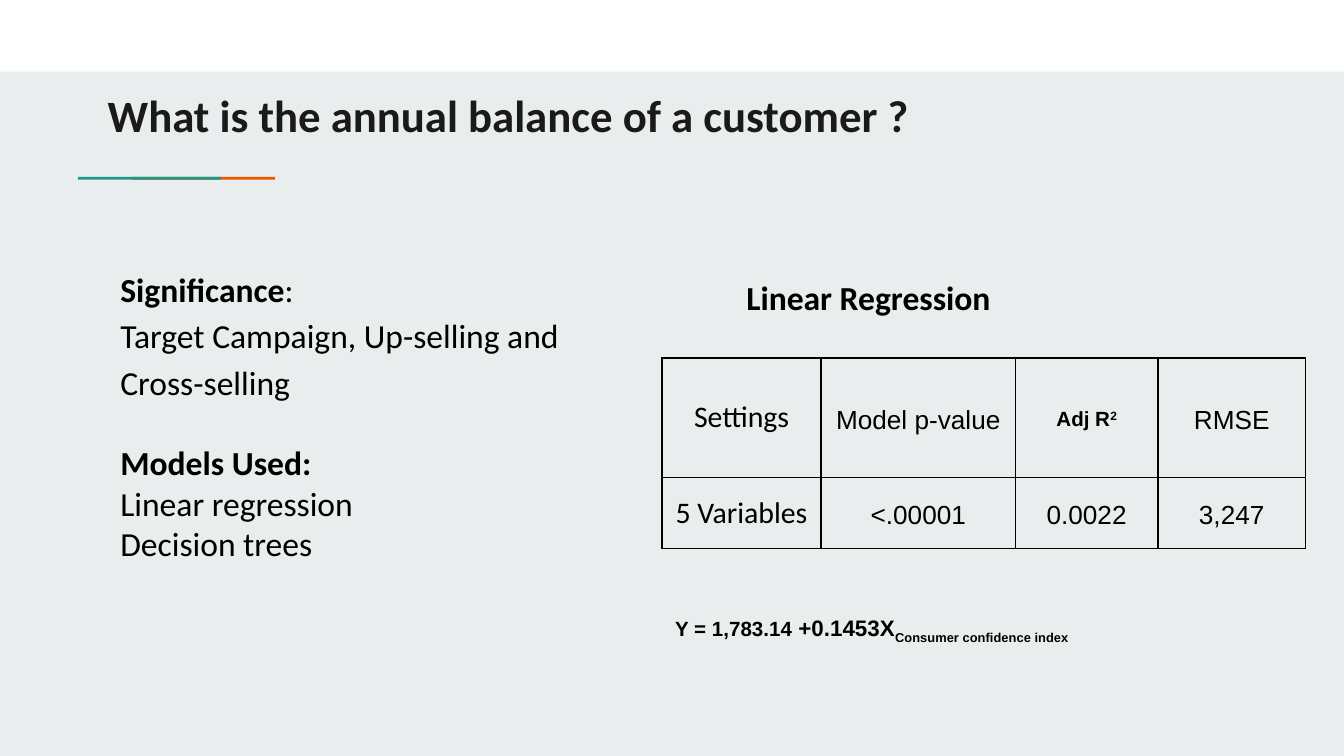
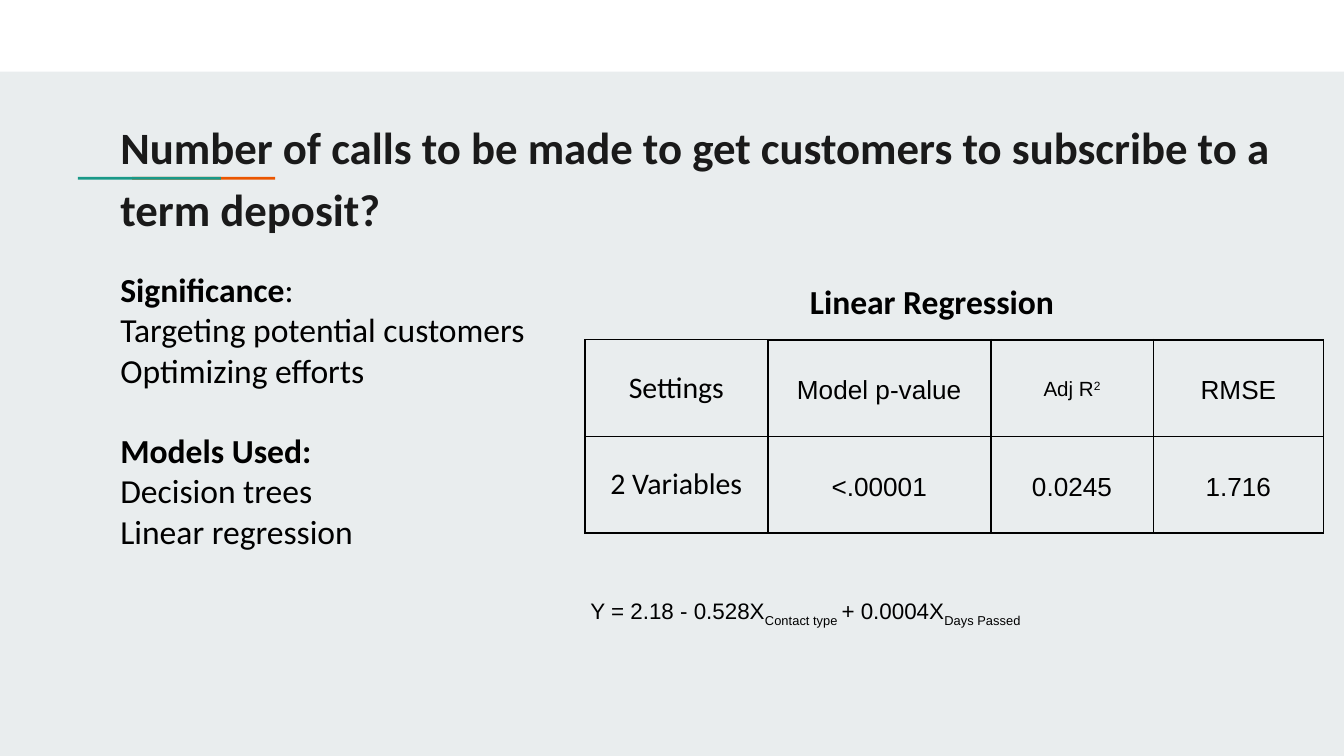
from lxml import etree
from pptx import Presentation
from pptx.dml.color import RGBColor
from pptx.enum import shapes, text
from pptx.oxml.ns import qn
from pptx.util import Pt

HUES = {
    "paper": "E9EDEE",
    "band": "FFFFFF",
    "teal": "1A9988",
    "orange": "EB5600",
    "title": "1A1A1A",
    "ink": "000000",
}
HEAD = "Calibri"
BODY = "Arial"
HEADS = ("Settings", "Model p-value", "Adj R", "RMSE")
LOOSE = {"lead": 1.15, "above": 12, "below": 12}
MID = text.PP_ALIGN.CENTER


def hue(name):
    return RGBColor.from_string(HUES[name])


def write(para, runs, size=18, font=HEAD, color="ink", bold=False,
          align=None, lead=1.0, above=0, below=0):
    para.alignment = align
    para.line_spacing = lead
    para.space_before = Pt(above)
    para.space_after = Pt(below)
    for part in [(runs, {})] if isinstance(runs, str) else runs:
        words, extra = part
        run = para.add_run()
        run.text = words
        run.font.size = Pt(extra.get("size", size))
        run.font.name = font
        run.font.bold = extra.get("bold", bold)
        run.font.color.rgb = hue(color)
        if "base" in extra:
            run._r.get_or_add_rPr().set("baseline", str(extra["base"] * 1000))


def add_text(slide, box, paras, **style):
    frame = slide.shapes.add_textbox(*map(Pt, box)).text_frame
    frame.word_wrap = True
    frame.margin_left = frame.margin_right = Pt(7.2)
    frame.margin_top = frame.margin_bottom = Pt(7.2)
    for i, (runs, extra) in enumerate(paras):
        para = frame.add_paragraph() if i else frame.paragraphs[0]
        write(para, runs, **{**style, **extra})


def add_bar(slide, box, color):
    bar = slide.shapes.add_shape(shapes.MSO_SHAPE.RECTANGLE, *map(Pt, box))
    bar.shadow.inherit = False
    bar.fill.solid()
    bar.fill.fore_color.rgb = hue(color)
    bar.line.fill.background()


def add_base(deck):
    slide = deck.slides.add_slide(deck.slide_layouts[6])
    slide.background.fill.solid()
    slide.background.fill.fore_color.rgb = hue("paper")
    add_bar(slide, (0, 0, 720, 38.4), "band")
    add_bar(slide, (70.8, 94.8, 76.6, 1.5), "orange")
    add_bar(slide, (41.8, 94.8, 76.6, 1.5), "teal")
    return slide


def add_title(slide, box, words, lead=1.0):
    add_text(slide, box, [(words, {"lead": lead})],
             size=24, color="title", bold=True)


def add_notes(slide, box, goals, models, lead=1.0):
    paras = [([("Significance", {"bold": True}), (":", {})], {})]
    paras += [(goal, {"lead": lead}) for goal in goals]
    paras += [("Models Used:", {"bold": True, "above": 21.6})]
    paras += [(model, {}) for model in models]
    add_text(slide, box, paras)


def add_edges(cell, widths):
    props = cell._tc.get_or_add_tcPr()
    for side, width in zip("LRTB", widths):
        line = etree.SubElement(props, qn(f"a:ln{side}"), w=str(Pt(width)))
        fill = etree.SubElement(line, qn("a:solidFill"))
        etree.SubElement(fill, qn("a:srgbClr"), val=HUES["ink"])


def add_grid(slide, left, top, cols, rows, data, bold=False):
    box = left, top, sum(cols), sum(rows)
    grid = slide.shapes.add_table(len(rows), len(cols), *map(Pt, box)).table
    grid.first_row = grid.horz_banding = False
    for col, width in zip(grid.columns, cols):
        col.width = Pt(width)
    for row, height in zip(grid.rows, rows):
        row.height = Pt(height)
    for r, line in enumerate(data):
        for c, words in enumerate(line):
            cell = grid.cell(r, c)
            cell.vertical_anchor = text.MSO_ANCHOR.MIDDLE
            cell.margin_left = cell.margin_right = Pt(5 if c else 7.2)
            cell.margin_top = cell.margin_bottom = Pt(7.2)
            add_edges(cell, (1, 1, 1, 1) if c else (0.75, 1, 0.75, 0.75))
            cell.fill.background()
            para = cell.text_frame.paragraphs[0]
            if c == 0:
                write(para, words, size=16, align=MID)
            elif words == "Adj R":
                write(para, [(words, {}), ("2", {"base": 30})], size=11,
                      font=BODY, bold=bold, align=MID, **LOOSE)
            else:
                write(para, words, size=14, font=BODY, align=MID, **LOOSE)


def add_model(slide, box, runs, bold=False):
    add_text(slide, box, [(runs, LOOSE)], size=12, font=BODY, bold=bold)


def build_balance(deck):
    slide = add_base(deck)
    add_title(slide, (50.6, 39.6, 605.5, 131),
              "What is the annual balance of a customer ?")
    add_notes(slide, (57.4, 136.8, 269.3, 200.9),
              ["Target Campaign, Up-selling and Cross-selling"],
              ["Linear regression", "Decision trees"], lead=1.15)
    add_grid(slide, 354.7, 191.8, (85.2, 104.2, 76.2, 79.2), (64, 38.2),
             [HEADS, ("5 Variables", "<.00001", "0.0022", "3,247")], bold=True)
    add_text(slide, (392.8, 141.1, 249.8, 33.8),
             [("Linear Regression", {})], bold=True)
    add_model(slide, (354.6, 319.4, 344.9, 62.6),
              [("Y = 1,783.14", {"size": 11}), (" +0.1453X", {}),
               ("Consumer confidence index", {"base": -25})], bold=True)


def build_calls(deck):
    slide = add_base(deck)
    add_title(slide, (57.4, 52.6, 661.7, 43.9),
              "Number of calls to be made to get customers to subscribe "
              "to a term deposit?", lead=1.15)
    add_notes(slide, (57.4, 136.8, 269.3, 200.9),
              ["Targeting potential customers", "Optimizing efforts"],
              ["Decision trees", "Linear regression"])
    add_text(slide, (326.9, 143.3, 344.9, 33.8),
             [("Linear Regression", {})], bold=True, align=MID)
    add_grid(slide, 313.4, 182, (97.9, 119.5, 87.1, 91.2), (51.8, 51.8),
             [HEADS, ("2 Variables", "<.00001", "0.0245", "1.716")])
    add_model(slide, (309.2, 310.3, 403.9, 27.4),
              [("Y = 2.18 - 0.528X", {}), ("Contact type ", {"base": -25}),
               ("+ 0.0004X", {}), ("Days Passed", {"base": -25})])


def main():
    deck = Presentation()
    deck.slide_width = Pt(720)
    deck.slide_height = Pt(405)
    build_balance(deck)
    build_calls(deck)
    deck.save("out.pptx")


if __name__ == "__main__":
    main()
